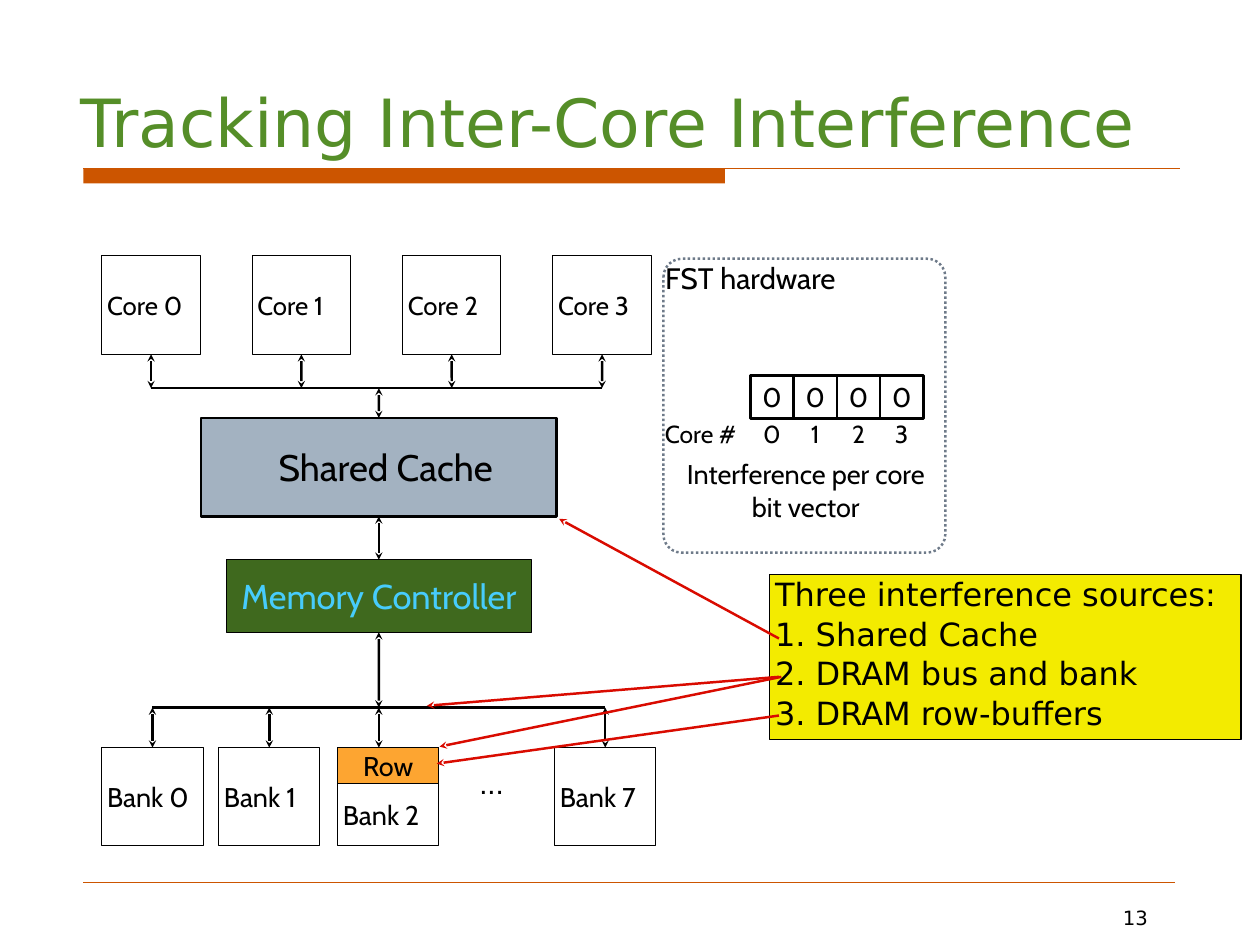
"""Build the slide on tracking inter-core interference."""
from lxml import etree
from pptx import Presentation, util as u
from pptx.dml.color import RGBColor
from pptx.enum import dml, shapes, text
from pptx.oxml.ns import qn

TITLE = "Tracking Inter-Core Interference"
CORES = ["Core 0", "Core 1", "Core 2", "Core 3"]
BANKS = [("Bank 0", 2.92), ("Bank 1", 6.27), ("Bank 2", 9.68), ("Bank 7", 15.9)]
BITS = ["0", "0", "0", "0"]
SOURCES = ["Three interference sources:", "1. Shared Cache",
           "2. DRAM bus and bank", "3. DRAM row-buffers"]
POINTERS = [((22.33, 18.31), (16.03, 14.88)), ((22.33, 19.41), (12.24, 20.24)),
            ((22.33, 20.52), (12.52, 21.9)), ((22.4, 19.41), (12.6, 21.41))]

BLACK, WHITE, ORANGE, RED = "000000", "FFFFFF", "CC5500", "D90B00"
SANS = "DejaVu Sans"
TOP, LEFT, BOTTOM = 0, 1, 2
PAD = 0.15
AXIS = 10.86
CORE_X, CORE_Y, CORE_STEP, CORE_SIZE = 2.92, 7.34, 4.31, 2.82
CORE_BUS_Y, BANK_BUS_Y = 11.13, 20.29
CACHE_Y, CACHE_W, CACHE_H = 11.99, 10.2, 2.82
CTRL_Y, CTRL_W, CTRL_H = 16.05, 8.74, 2.08
BANK_Y, BANK_W, BANK_H, ROW_H = 21.44, 2.9, 2.82, 1.02
BIT_X, BIT_Y, BIT = 21.51, 10.77, 1.24

prs = Presentation()
prs.slide_width, prs.slide_height = u.Cm(36.12), u.Cm(27.1)
s = prs.slides.add_slide(prs.slide_layouts[6])


def rgb(value):
    return RGBColor.from_string(value)


def write(sp, lines, size, font="Cabin", color=BLACK, align="CENTER",
          anchor="MIDDLE", wrap=True, left=PAD, top=0, gap=0):
    tf = sp.text_frame
    tf.word_wrap = wrap
    tf.vertical_anchor = text.MSO_ANCHOR[anchor]
    tf.margin_left, tf.margin_right = u.Cm(left), u.Cm(PAD)
    tf.margin_top, tf.margin_bottom = u.Cm(top), 0
    for i, line in enumerate(lines):
        p = tf.add_paragraph() if i else tf.paragraphs[0]
        p.alignment = text.PP_ALIGN[align]
        if i and gap:
            p.space_before = u.Pt(gap)
        r = p.add_run()
        r.text = line
        r.font.size, r.font.name = u.Pt(size), font
        r.font.color.rgb = rgb(color)


def box(x, y, w, h, fill=WHITE, line=BLACK, width=0.75, kind="RECTANGLE"):
    sp = s.shapes.add_shape(shapes.MSO_SHAPE[kind], *map(u.Cm, (x, y, w, h)))
    sp.shadow.inherit = False
    if fill:
        sp.fill.solid()
        sp.fill.fore_color.rgb = rgb(fill)
    else:
        sp.fill.background()
    if line:
        sp.line.color.rgb = rgb(line)
        sp.line.width = u.Pt(width)
    else:
        sp.line.fill.background()
    return sp


def label(x, y, w, h, lines, size, **style):
    sp = s.shapes.add_textbox(*map(u.Cm, (x, y, w, h)))
    write(sp, lines, size, **{"anchor": "TOP", "wrap": False, **style})


def link(start, end, color=BLACK, width=2, ends=()):
    c = s.shapes.add_connector(shapes.MSO_CONNECTOR.STRAIGHT,
                               *map(u.Cm, (*start, *end)))
    c.line.color.rgb = rgb(color)
    c.line.width = u.Pt(width)
    ln = c.line._get_or_add_ln()
    for end_name in ends:
        etree.SubElement(ln, qn("a:" + end_name), type="stealth")
    etree.SubElement(c._element.spPr, qn("a:effectLst"))
    return c


def two_way(x, y1, y2, begin=None, end=None):
    c = link((x, y1), (x, y2), ends=("headEnd", "tailEnd"))
    if begin:
        c.begin_connect(begin, BOTTOM)
    if end:
        c.end_connect(end, TOP)


box(2.39, 4.83, 18.39, 0.43, ORANGE, None)
link((2.39, 4.83), (33.83, 4.83), ORANGE, 0.75)
link((2.39, 25.3), (33.68, 25.3), ORANGE, 0.25)
label(2.16, 1.12, 33.9, 3.5, [TITLE], 54, font=SANS, color="558E28",
      align="LEFT", anchor="BOTTOM", wrap=True)
label(32.03, 25.98, 1.04, 0.8, ["13"], 16, font=SANS)

core_mids = []
for i, name in enumerate(CORES):
    x = CORE_X + i * CORE_STEP
    core = box(x, CORE_Y, CORE_SIZE, CORE_SIZE)
    write(core, [name], 21, align="LEFT")
    core_mids.append(x + CORE_SIZE / 2)
    two_way(core_mids[-1], CORE_Y + CORE_SIZE, CORE_BUS_Y, begin=core)
link((core_mids[0], CORE_BUS_Y), (core_mids[-1], CORE_BUS_Y))

cache = box(AXIS - CACHE_W / 2, CACHE_Y, CACHE_W, CACHE_H, "A3B2C1", width=2)
write(cache, ["Shared Cache"], 30, left=0.55)
ctrl = box(AXIS - CTRL_W / 2, CTRL_Y, CTRL_W, CTRL_H, "3F691E")
write(ctrl, ["Memory Controller"], 28, color="47CCFC")
two_way(AXIS, CORE_BUS_Y, CACHE_Y, end=cache)
two_way(AXIS, CACHE_Y + CACHE_H, CTRL_Y, cache, ctrl)
two_way(AXIS, CTRL_Y + CTRL_H, BANK_BUS_Y, begin=ctrl)

bank_mids = [x + BANK_W / 2 for _, x in BANKS]
link((bank_mids[0], BANK_BUS_Y), (bank_mids[-1], BANK_BUS_Y))
for (name, x), mid in zip(BANKS, bank_mids):
    bank = box(x, BANK_Y, BANK_W, BANK_H)
    has_row = name == "Bank 2"
    write(bank, [name], 22, align="LEFT", top=ROW_H if has_row else 0)
    if has_row:
        write(box(x, BANK_Y, BANK_W, ROW_H, "FDA531"), ["Row"], 22)
        two_way(AXIS, BANK_BUS_Y, BANK_Y)
    else:
        two_way(mid, BANK_BUS_Y, BANK_Y, end=bank)
label(13.59, 21.95, 1.19, 1.24, ["..."], 24, font="Arial", align="LEFT")

fst = box(19.02, 7.42, 8.08, 8.43, None, "6E7A89", 2, "ROUNDED_RECTANGLE")
fst.adjustments[0] = 0.065
fst.line.dash_style = dml.MSO_LINE.ROUND_DOT
label(18.92, 7.47, 5.23, 1.27, ["FST hardware"], 24, align="LEFT")
for i, bit in enumerate(BITS):
    x = BIT_X + i * BIT
    write(box(x, BIT_Y, BIT, BIT, width=2), [bit], 22)
    label(x, BIT_Y + BIT, BIT, 1.09, [str(i)], 20)
label(18.8, BIT_Y + BIT, 2.57, 1.09, ["Core #"], 20)
label(19.48, 13.13, 7.24, 2.06, ["Interference per core", "bit vector"], 22)

write(box(22.07, 16.48, 13.51, 4.72, "F3EB00", width=1), SOURCES, 26,
      font=SANS, align="LEFT", anchor="TOP", gap=1)
for start, tip in POINTERS:
    link(start, tip, RED, ends=("tailEnd",))

prs.save("out.pptx")
